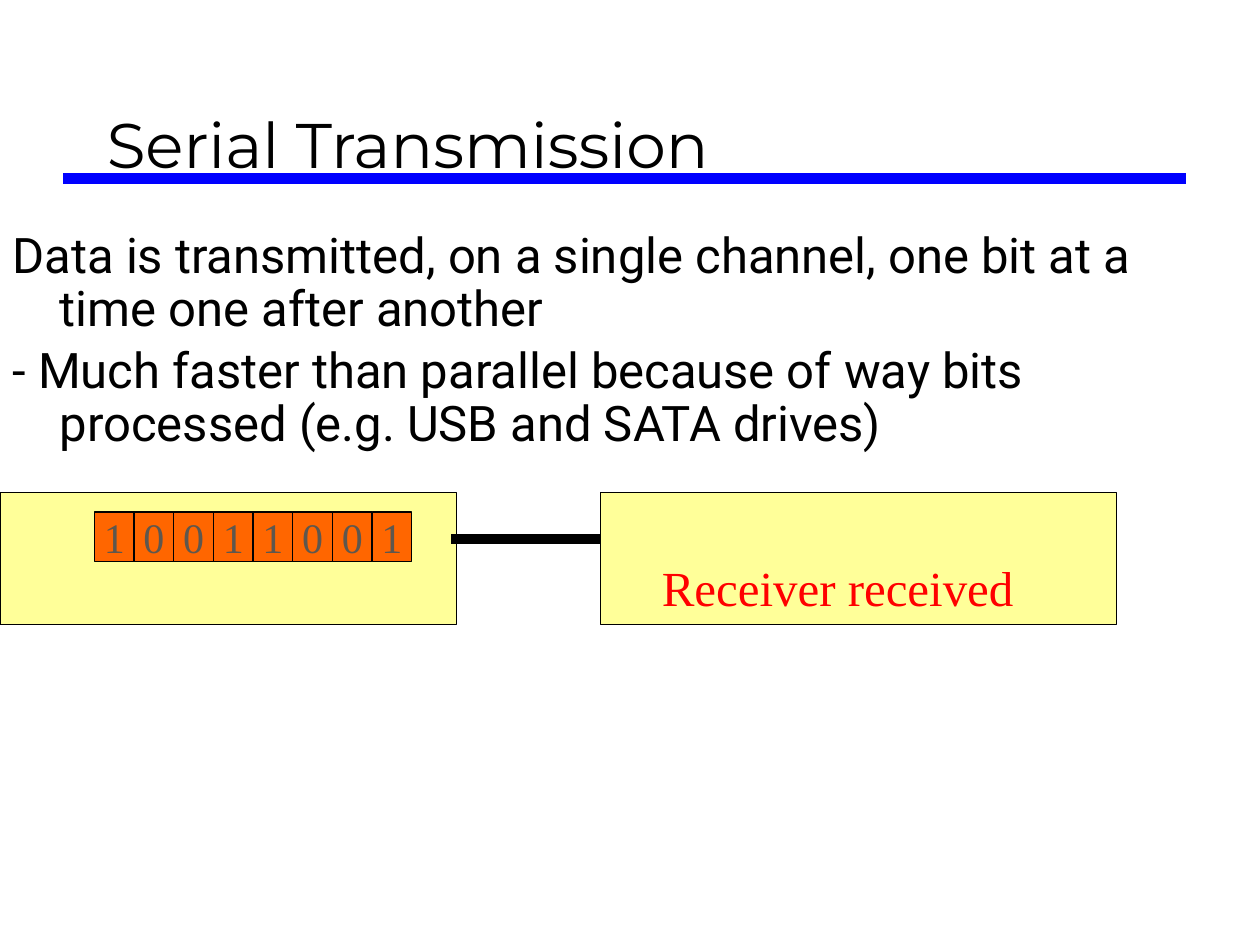
"""Build the Serial Transmission slide."""
from pptx import Presentation
from pptx import util as u
from pptx.dml.color import RGBColor
from pptx.enum import shapes, text
from pptx.oxml import ns
from lxml import etree

Pt = u.Pt


def add_text(para, words, size, font, color):
    span = para.add_run()
    span.text = words
    span.font.size = Pt(size)
    span.font.name = font
    span.font.color.rgb = RGBColor.from_string(color)


def add_box(left, top, width, height, fill):
    box = page.shapes.add_shape(shapes.MSO_SHAPE.RECTANGLE, Pt(left), Pt(top), Pt(width), Pt(height))
    box.shadow.inherit = False
    box.fill.solid()
    box.fill.fore_color.rgb = RGBColor.from_string(fill)
    box.line.color.rgb = RGBColor.from_string("000000")
    box.line.width = Pt(0.75)
    return box


deck = Presentation()
deck.slide_width, deck.slide_height = Pt(720), Pt(540)
page = deck.slides.add_slide(deck.slide_layouts[1])

title = page.shapes.title
title.left, title.top, title.width, title.height = Pt(53.8), Pt(47.2), Pt(612), Pt(59.8)
title.text_frame.auto_size = text.MSO_AUTO_SIZE.NONE
title.text_frame.vertical_anchor = text.MSO_ANCHOR.BOTTOM
para = title.text_frame.paragraphs[0]
para.alignment = text.PP_ALIGN.LEFT
add_text(para, "Serial Transmission", 36, "Montserrat", "000000")

body = page.placeholders[1]
body.left, body.top, body.width, body.height = Pt(0), Pt(128.3), Pt(666), Pt(164.2)
body.text_frame.auto_size = text.MSO_AUTO_SIZE.NONE
points = [
    "Data is transmitted, on a single channel, one bit at a time one after another",
    "- Much faster than parallel because of way bits processed (e.g. USB and SATA drives)",
]
for index, point in enumerate(points):
    para = body.text_frame.add_paragraph() if index else body.text_frame.paragraphs[0]
    para.line_spacing = 0.9
    properties = para._p.get_or_add_pPr()
    properties.set("marL", str(Pt(27)))
    properties.set("indent", str(-Pt(27)))
    etree.SubElement(properties, ns.qn("a:buNone"))
    add_text(para, point, 28, "Roboto", "000000")

sender = add_box(0, 281.3, 260.8, 75.6, "FFFF99")

lines = [(36, 678, 102, "0000FF"), (257.8, 343.2, 308, "000000")]
for start, end, height, color in lines:
    line = page.shapes.add_connector(shapes.MSO_CONNECTOR.STRAIGHT, Pt(start), Pt(height), Pt(end), Pt(height))
    line.line.color.rgb = RGBColor.from_string(color)
    line.line.width = Pt(6)
    etree.SubElement(line._element.spPr, ns.qn("a:effectLst"))

receiver = add_box(343.2, 281.3, 294.8, 75.6, "FFFF99")
frame = receiver.text_frame
frame.word_wrap = True
frame.vertical_anchor = text.MSO_ANCHOR.BOTTOM
frame.margin_left, frame.margin_bottom = Pt(35), Pt(5)
para = frame.paragraphs[0]
para.alignment = text.PP_ALIGN.LEFT
add_text(para, "Receiver received", 28, "Times New Roman", "FF0000")

for index, bit in enumerate("10011001"):
    cell = add_box(54 + 22.67 * index, 292.6, 22.67, 28.1, "FF6600")
    frame = cell.text_frame
    frame.word_wrap = False
    frame.vertical_anchor = text.MSO_ANCHOR.MIDDLE
    para = frame.paragraphs[0]
    para.alignment = text.PP_ALIGN.CENTER
    add_text(para, bit, 24, "Times New Roman", "5E574E")

deck.save("out.pptx")
